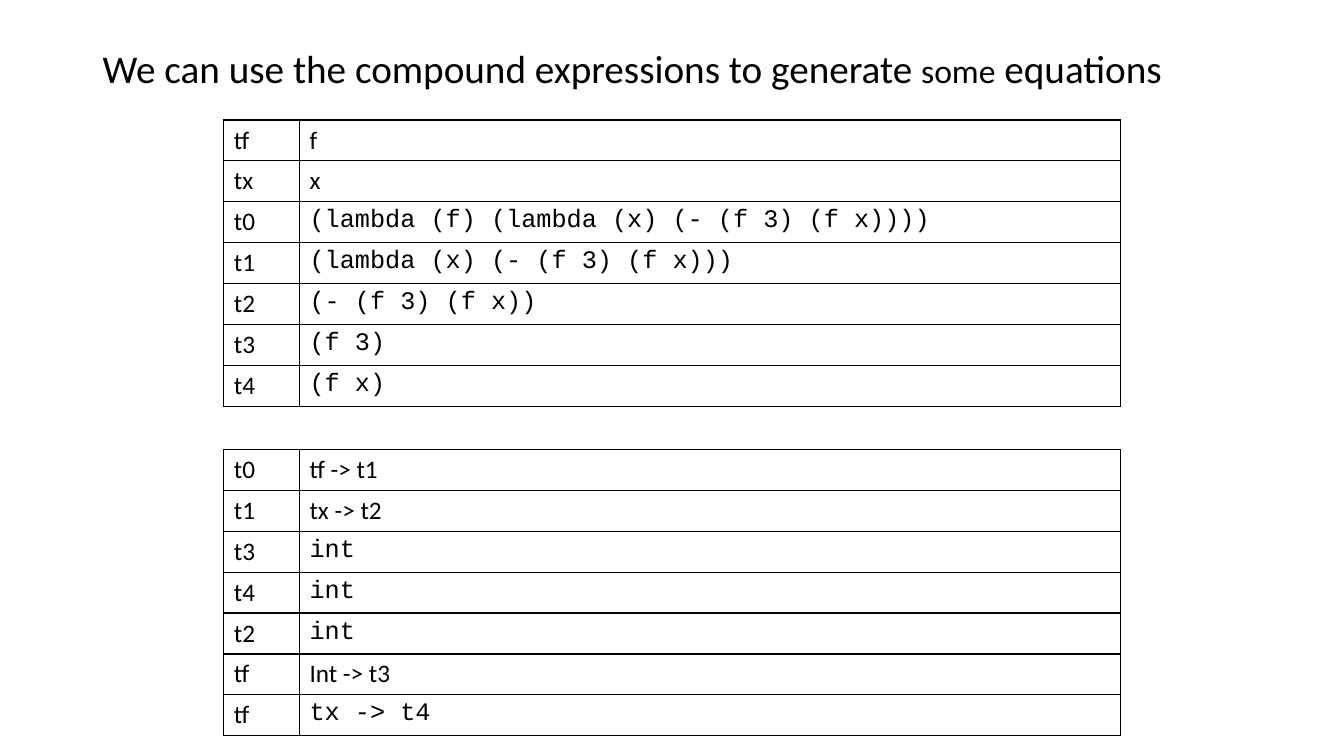
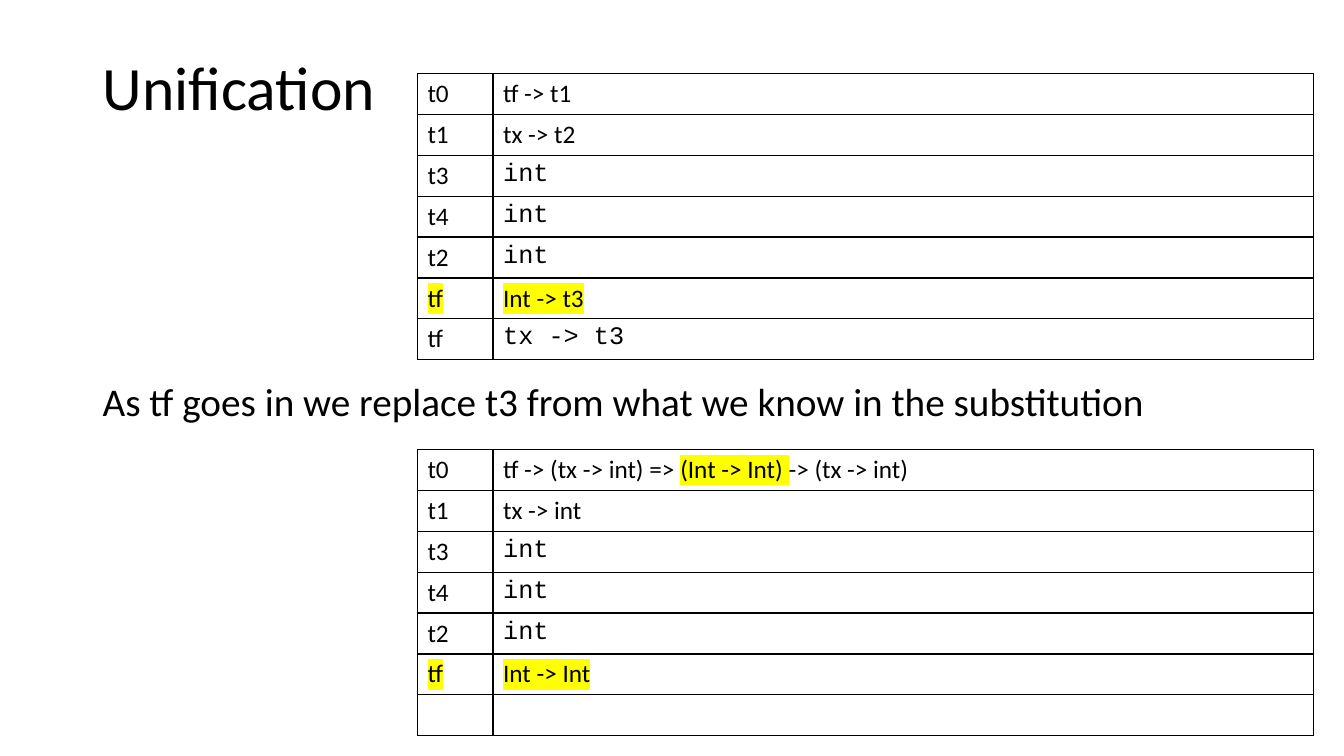
import pptx
import pptx.dml.color
import pptx.enum.text
import pptx.oxml
import pptx.oxml.ns
import pptx.util
from dataclasses import dataclass

Inches = pptx.util.Inches
Pt = pptx.util.Pt

COLORS = {"ink": "000000", "paper": "FFFFFF", "mark": "FFFF00"}
TEXT_FONT = "Calibri"
CODE_FONT = "Courier New"
MARGIN = 0.92
CONTENT_WIDTH = 11.5
TITLE_TOP = 0.4
TABLE_WIDTH = 8.89
TABLE_HEIGHT = 2.84
NAME_WIDTH = 0.75
LOWER_TABLE_TOP = 4.46


@dataclass
class Segment:
    text: str
    font: str = TEXT_FONT
    size: int = 18
    marked: bool = False


def plain(name, text):
    return [Segment(name)], [Segment(text)]


def code(name, text):
    return [Segment(name)], [Segment(text, CODE_FONT)]


def marked(name, text):
    return [Segment(name, marked=True)], [Segment(text, marked=True)]


def rgb(key):
    return pptx.dml.color.RGBColor.from_string(COLORS[key])


def drawing_element(xml):
    return pptx.oxml.parse_xml(xml.replace(" ", f" {pptx.oxml.ns.nsdecls('a')} ", 1))


def highlight(run):
    latin = run._r.get_or_add_rPr().find(pptx.oxml.ns.qn("a:latin"))
    latin.addprevious(drawing_element(
        f'<a:highlight ><a:srgbClr val="{COLORS["mark"]}"/></a:highlight>'))


def write(paragraph, segments):
    for segment in segments:
        run = paragraph.add_run()
        run.text = segment.text
        run.font.size = Pt(segment.size)
        run.font.color.rgb = rgb("ink")
        run.font.name = segment.font
        if segment.marked:
            highlight(run)


def add_text(slide, top, height, segments, anchor):
    box = slide.shapes.add_textbox(
        Inches(MARGIN), Inches(top), Inches(CONTENT_WIDTH), Inches(height))
    frame = box.text_frame
    frame.word_wrap = True
    frame.vertical_anchor = anchor
    frame.paragraphs[0].line_spacing = 0.9
    write(frame.paragraphs[0], segments)


def add_title(slide, height, segments):
    add_text(slide, TITLE_TOP, height, segments, pptx.enum.text.MSO_ANCHOR.MIDDLE)


def add_body(slide, top, height, text):
    add_text(slide, top, height, [Segment(text, size=28)], pptx.enum.text.MSO_ANCHOR.TOP)


def add_borders(cell):
    properties = cell._tc.get_or_add_tcPr()
    for position, side in enumerate(("lnL", "lnR", "lnT", "lnB")):
        properties.insert(position, drawing_element(
            f'<a:{side} w="{Pt(1)}"><a:solidFill><a:srgbClr val="{COLORS["ink"]}"/>'
            f'</a:solidFill></a:{side}>'))


def add_equations(slide, left, top, equations):
    table = slide.shapes.add_table(
        len(equations), 2, Inches(left), Inches(top),
        Inches(TABLE_WIDTH), Inches(TABLE_HEIGHT)).table
    table.first_row = False
    table.horz_banding = False
    table.columns[0].width = Inches(NAME_WIDTH)
    table.columns[1].width = Inches(TABLE_WIDTH - NAME_WIDTH)
    for row, equation in zip(table.rows, equations):
        row.height = Inches(TABLE_HEIGHT / len(equations))
        for cell, segments in zip(row.cells, equation):
            cell.fill.background()
            add_borders(cell)
            write(cell.text_frame.paragraphs[0], segments)


INT_EQUATIONS = [code(name, "int") for name in ("t3", "t4", "t2")]
START_EQUATIONS = [plain("t0", "tf -> t1"), plain("t1", "tx -> t2"), *INT_EQUATIONS]

EXPRESSIONS = [
    plain("tf", "f"),
    plain("tx", "x"),
    code("t0", "(lambda (f) (lambda (x) (- (f 3) (f x))))"),
    code("t1", "(lambda (x) (- (f 3) (f x)))"),
    code("t2", "(- (f 3) (f x))"),
    code("t3", "(f 3)"),
    code("t4", "(f x)"),
]

SUBSTITUTION = [
    ([Segment("t0")], [Segment("tf -> (tx -> int) => "),
                       Segment("(Int -> Int) ", marked=True),
                       Segment("-> (tx -> int)")]),
    plain("t1", "tx -> int"),
    *INT_EQUATIONS,
    marked("tf", "Int -> Int"),
    ([], []),
]


def new_slide(deck):
    slide = deck.slides.add_slide(deck.slide_layouts[6])
    slide.background.fill.solid()
    slide.background.fill.fore_color.rgb = rgb("paper")
    return slide


def build_generation(deck):
    slide = new_slide(deck)
    add_title(slide, 0.61, [
        Segment("We can use the compound expressions to generate ", size=28),
        Segment("some", size=24),
        Segment(" equations", size=28),
    ])
    left = (13.33 - TABLE_WIDTH) / 2
    add_equations(slide, left, 1.19, EXPRESSIONS)
    add_equations(slide, left, LOWER_TABLE_TOP, START_EQUATIONS + [
        plain("tf", "Int -> t3"), code("tf", "tx -> t4")])


def build_unification(deck):
    slide = new_slide(deck)
    add_title(slide, 1, [Segment("Unification", size=44)])
    add_body(slide, 3.75, 2.13,
             "As tf goes in we replace t3 from what we know in the substitution")
    left = 4.14
    add_equations(slide, left, 0.73, START_EQUATIONS + [
        marked("tf", "Int -> t3"), code("tf", "tx -> t3")])
    add_equations(slide, left, LOWER_TABLE_TOP, SUBSTITUTION)


def main():
    deck = pptx.Presentation()
    deck.slide_width = Inches(13.33)
    deck.slide_height = Inches(7.5)
    build_generation(deck)
    build_unification(deck)
    deck.save("out.pptx")


if __name__ == "__main__":
    main()
